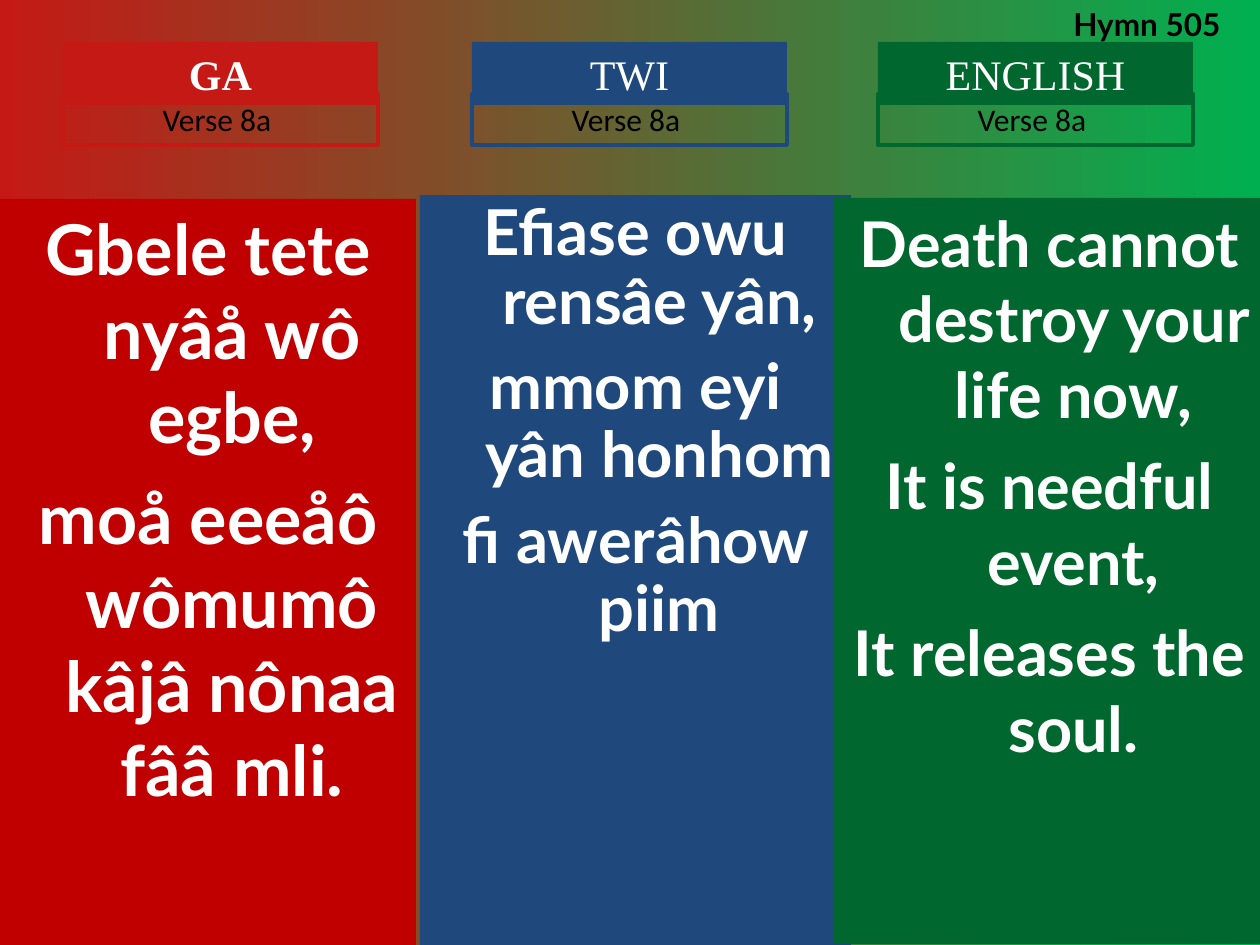
"""Build the slide for Hymn 505, verse 8a, in Ga, Twi and English."""
from dataclasses import dataclass

import pptx
import pptx.dml.color
import pptx.enum.shapes
import pptx.enum.text
import pptx.util

RGBColor = pptx.dml.color.RGBColor
RED = RGBColor(0xC5, 0x19, 0x15)
DARK_RED = RGBColor(0xC0, 0x00, 0x00)
BLUE = RGBColor(0x1F, 0x49, 0x7D)
GREEN = RGBColor(0x00, 0x68, 0x2F)
BRIGHT_GREEN = RGBColor(0x00, 0xB0, 0x50)
WHITE = RGBColor(0xFF, 0xFF, 0xFF)
BLACK = RGBColor(0x00, 0x00, 0x00)

PX_PER_INCH = 126
HANGING = 48
CENTER = pptx.enum.text.PP_ALIGN.CENTER
HEADING = {"name": "Times New Roman", "size": pptx.util.Pt(24)}
VERSE = {"name": "Calibri", "size": pptx.util.Pt(18)}
HYMN = {"name": "Lato", "size": pptx.util.Pt(18), "bold": True}


@dataclass(frozen=True)
class Box:
    x: int
    y: int
    w: int
    h: int

    def emu(self) -> list[int]:
        return [px(v) for v in (self.x, self.y, self.w, self.h)]


@dataclass(frozen=True)
class Column:
    title: str
    title_bold: bool
    title_x: int
    title_color: RGBColor
    body: Box
    body_color: RGBColor
    size: float
    space: float
    line_spacing: float
    lyrics: tuple[str, ...]


COLUMNS = (
    Column("GA", True, 63, RED, Box(0, 199, 416, 746), DARK_RED, 40, 10, 1.0,
           ("Gbele tete nyâå wô egbe,", "moå eeeåô wômumô kâjâ nônaa fââ mli.")),
    Column("TWI", False, 472, BLUE, Box(420, 195, 431, 750), BLUE, 36.1, 9.8, 0.9,
           ("Efiase owu rensâe yân,", "mmom eyi yân honhom", "fi awerâhow piim")),
    Column("ENGLISH", False, 878, GREEN, Box(834, 198, 431, 746), GREEN, 36, 9, 1.0,
           ("Death cannot destroy your life now,", "It is needful event,",
            "It releases the soul.")),
)


def px(value: int) -> int:
    return round(value * pptx.util.Inches(1) / PX_PER_INCH)


def set_all(target, values: dict) -> None:
    for name, value in values.items():
        setattr(target, name, value)


def add_rect(s, box: Box, fill: RGBColor | None = None, line: RGBColor | None = None):
    sp = s.shapes.add_shape(pptx.enum.shapes.MSO_SHAPE.RECTANGLE, *box.emu())
    sp.shadow.inherit = False
    if fill is None:
        sp.fill.background()
    else:
        sp.fill.solid()
        sp.fill.fore_color.rgb = fill
    if line is None:
        sp.line.fill.background()
    else:
        sp.line.color.rgb = line
        sp.line.width = pptx.util.Pt(2.25)
    return sp


def write(sp, lines: tuple[str, ...], font: dict, color: RGBColor,
          paragraph: dict, space: float = 0, grow: bool = True) -> None:
    tf = sp.text_frame
    sizes = pptx.enum.text.MSO_AUTO_SIZE
    set_all(tf, {"word_wrap": True,
                 "vertical_anchor": pptx.enum.text.MSO_ANCHOR.TOP,
                 "auto_size": sizes.SHAPE_TO_FIT_TEXT if grow else sizes.NONE})
    for i, line in enumerate(lines):
        p = tf.add_paragraph() if i else tf.paragraphs[0]
        set_all(p, paragraph)
        if i:
            p.space_before = pptx.util.Pt(space)
        r = p.add_run()
        r.text = line
        set_all(r.font, font)
        r.font.color.rgb = color


def add_column(s, col: Column) -> None:
    body = add_rect(s, col.body, fill=col.body_color)
    write(body, col.lyrics,
          {"name": "Lato", "size": pptx.util.Pt(col.size), "bold": True}, WHITE,
          {"alignment": CENTER, "line_spacing": col.line_spacing}, col.space, grow=False)
    for p in body.text_frame.paragraphs:
        pPr = p._p.get_or_add_pPr()
        pPr.set("marL", str(px(HANGING)))
        pPr.set("indent", str(-px(HANGING)))
    heading = add_rect(s, Box(col.title_x, 42, 315, 63), fill=col.title_color)
    write(heading, (col.title,), HEADING | {"bold": col.title_bold}, WHITE,
          {"alignment": CENTER})
    verse = add_rect(s, Box(col.title_x, 94, 315, 51), line=col.title_color)
    write(verse, ("Verse 8a ",), VERSE, BLACK, {"alignment": CENTER})


def main() -> None:
    prs = pptx.Presentation()
    set_all(prs, {"slide_width": pptx.util.Inches(10),
                  "slide_height": pptx.util.Inches(7.5)})
    s = prs.slides.add_slide(prs.slide_layouts[6])
    fill = s.background.fill
    fill.gradient()
    fill.gradient_angle = 0
    for stop, color in zip(fill.gradient_stops, (RED, BRIGHT_GREEN)):
        stop.color.rgb = color
    for col in COLUMNS:
        add_column(s, col)
    hymn = s.shapes.add_textbox(*Box(1061, -1, 189, 51).emu())
    write(hymn, ("Hymn 505",), HYMN, BLACK, {})
    prs.save("out.pptx")


if __name__ == "__main__":
    main()
